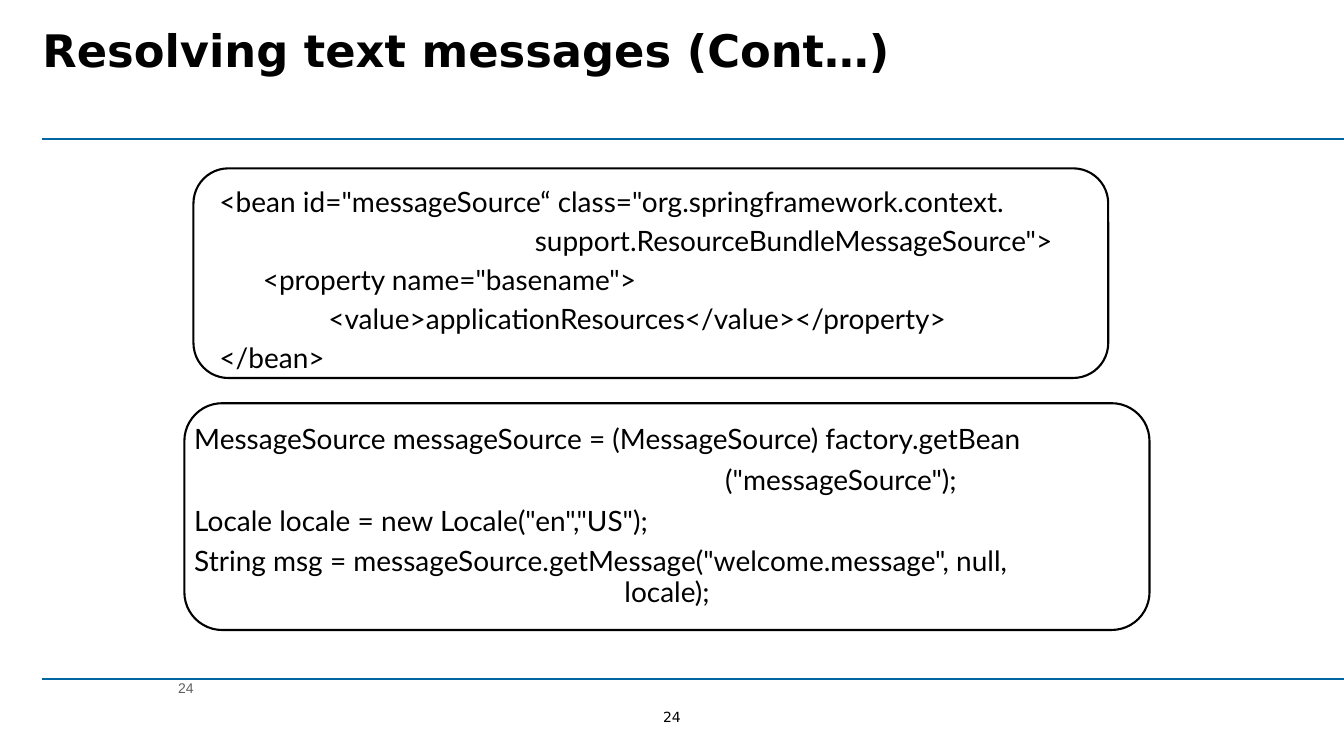
from lxml import etree
from pptx import Presentation
from pptx import util as u
from pptx.dml import color
from pptx.enum import shapes, text
from pptx.oxml import ns

BLACK, GREY, BLUE = "000000", "5F5F5F", "0066A1"
SLIDE_WIDTH, SLIDE_HEIGHT = 13.34, 7.5
MARGIN = 0.42

BEAN_LINES = [
    ('<bean id="messageSource“ class="org.springframework.context.', 0, 7.5),
    ('support.ResourceBundleMessageSource">', 3.13, 7.5),
    ('<property name="basename">', 0.43, 7.5),
    ("<value>applicationResources</value></property>", 1.08, 7.5),
    ("</bean>", 0, 7.5),
]
LOOKUP_LINES = [
    ("MessageSource messageSource = (MessageSource) factory.getBean", 0, 7.5),
    ('("messageSource");', 5.27, 7.5),
    ('Locale locale = new Locale("en","US");', 0, 7.5),
    ('String msg = messageSource.getMessage("welcome.message", null,', 0, 7.5),
    ("locale);", 4.27, 0),
]


def rgb(value):
    """Turn a hex string into a colour."""
    return color.RGBColor.from_string(value)


def add_text_box(slide, box, insets=(0.1, 0.05), wrap=True):
    """Add an empty text box and return its text frame."""
    frame = slide.shapes.add_textbox(*map(u.Inches, box)).text_frame
    frame.word_wrap = wrap
    frame.margin_left = frame.margin_right = u.Inches(insets[0])
    frame.margin_top = frame.margin_bottom = u.Inches(insets[1])
    return frame


def add_run(paragraph, wording, font, size, hue=BLACK, bold=False):
    """Add one formatted run to a paragraph."""
    run = paragraph.add_run()
    run.text = wording
    run.font.name = font
    run.font.size = u.Pt(size)
    run.font.bold = bold
    run.font.color.rgb = rgb(hue)


def add_rule(slide, top):
    """Draw a horizontal rule from the left margin to the slide's edge."""
    rule = slide.shapes.add_connector(
        shapes.MSO_CONNECTOR.STRAIGHT,
        u.Inches(MARGIN), u.Inches(top), u.Inches(SLIDE_WIDTH), u.Inches(top))
    rule.line.color.rgb = rgb(BLUE)
    rule.line.width = u.Pt(1.25)
    properties = rule._element.find(ns.qn("p:spPr"))
    etree.SubElement(properties, ns.qn("a:effectLst"))


def add_title(slide, box, wording):
    """Write the slide title."""
    frame = add_text_box(slide, box, insets=(0, 0.05))
    add_run(frame.paragraphs[0], wording, "DejaVu Sans", 32, bold=True)


def add_code_panel(slide, box, lines, text_offset, text_width, line_spacing):
    """Set indented code lines inside a rounded outline."""
    left, top, width, height = box
    across, down = text_offset
    frame = add_text_box(
        slide, (left + across, top + down, text_width, height - down))
    for index, (wording, indent, space_before) in enumerate(lines):
        paragraph = frame.add_paragraph() if index else frame.paragraphs[0]
        paragraph.line_spacing = line_spacing
        paragraph.space_before = u.Pt(space_before)
        paragraph._p.get_or_add_pPr().set("marL", str(u.Inches(indent)))
        add_run(paragraph, wording, "Lato", 20)

    outline = slide.shapes.add_shape(
        shapes.MSO_SHAPE.ROUNDED_RECTANGLE, *map(u.Inches, box))
    outline.adjustments[0] = 0.167
    outline.shadow.inherit = False
    outline.fill.background()
    outline.line.color.rgb = rgb(BLACK)
    outline.line.width = u.Pt(1.5)


def add_page_numbers(slide, centre_box, left_box, number):
    """Write the page number in the centre and at the left of the footer."""
    frame = add_text_box(slide, centre_box, insets=(0, 0), wrap=False)
    frame.vertical_anchor = text.MSO_ANCHOR.MIDDLE
    frame.paragraphs[0].alignment = text.PP_ALIGN.CENTER
    add_run(frame.paragraphs[0], number, "DejaVu Sans", 10)

    paragraph = add_text_box(slide, left_box).paragraphs[0]
    paragraph.space_before = u.Pt(3.7)
    add_run(paragraph, number, "Arial", 10, GREY)


def main():
    """Build and save the slide."""
    presentation = Presentation()
    presentation.slide_width = u.Inches(SLIDE_WIDTH)
    presentation.slide_height = u.Inches(SLIDE_HEIGHT)
    slide = presentation.slides.add_slide(presentation.slide_layouts[6])

    for top in (1.38, 6.74):
        add_rule(slide, top)
    add_title(slide, (MARGIN, 0.18, 12.65, 1.05),
              "Resolving text messages (Cont…)")
    add_code_panel(slide, (1.92, 1.67, 9.08, 2.08), BEAN_LINES,
                   (0.16, 0.16), 9.08, 0.85)
    add_code_panel(slide, (1.83, 4, 9.58, 2.25), LOOKUP_LINES,
                   (0, 0.17), 9.83, 0.9)
    add_page_numbers(slide, (6.33, 7.02, 0.68, 0.19),
                     (1.67, 6.69, 1.09, 0.29), "24")
    presentation.save("out.pptx")


if __name__ == "__main__":
    main()
